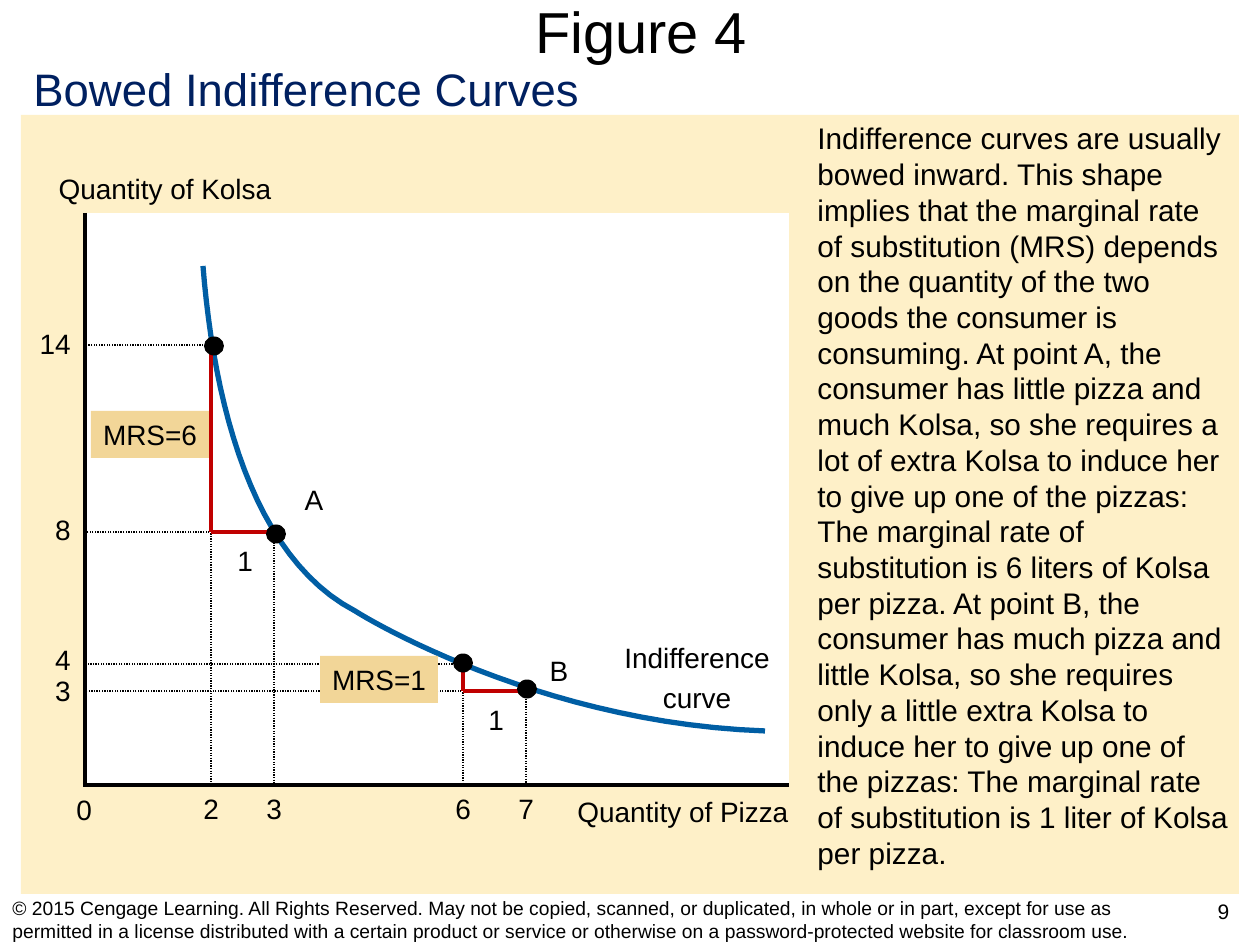
from lxml.etree import SubElement
from pptx import Presentation
from pptx.dml.color import RGBColor
from pptx.enum.dml import MSO_LINE
from pptx.enum.shapes import MSO_CONNECTOR as Connector, MSO_SHAPE as Shape
from pptx.enum.text import MSO_ANCHOR as Anchor, PP_ALIGN as Align
from pptx.oxml.ns import qn
from pptx.util import Pt

PX = 914400 / 126
BLACK, WHITE, NAVY = "000000", "FFFFFF", "002060"
CREAM, TAN, BLUE, RED = "FEF0C8", "F2D698", "005EA4", "C00000"

TITLE = "Figure 4"
SUBTITLE = "Bowed Indifference Curves"
EXPLANATION = (
    "Indifference curves are usually bowed inward. This shape implies that the "
    "marginal rate of substitution (MRS) depends on the quantity of the two goods "
    "the consumer is consuming. At point A, the consumer has little pizza and much "
    "Kolsa, so she requires a lot of extra Kolsa to induce her to give up one of the "
    "pizzas: The marginal rate of substitution is 6 liters of Kolsa per pizza. At "
    "point B, the consumer has much pizza and little Kolsa, so she requires only a "
    "little extra Kolsa to induce her to give up one of the pizzas: The marginal rate "
    "of substitution is 1 liter of Kolsa per pizza."
)
COPYRIGHT = (
    "© 2015 Cengage Learning. All Rights Reserved. May not be copied, scanned, or "
    "duplicated, in whole or in part, except for use as permitted in a license "
    "distributed with a certain product or service or otherwise on a "
    "password-protected website for classroom use."
)

# Plot geometry in px
ORIGIN_X, ORIGIN_Y, PIZZA_STEP = 85, 785, 63
PLOT_TOP, PLOT_RIGHT = 213, 789
DRINK_Y = {14: 345, 8: 532, 4: 664, 3: 691}
DRINK_LABEL_TOP = {14: 320, 8: 506, 4: 636, 3: 667}
# (pizza, drink, centre of the dot)
BUNDLES = [(2, 14, (214, 346)), (3, 8, (276, 534)), (6, 4, (463, 663)), (7, 3, (527, 689))]
DOT_SIZE = (20, 19)
CURVE = [
    [(203, 266), (214, 404), (252, 557), (355, 611)],
    [(355, 611), (392, 634), (558, 724), (765, 731)],
]
CURVE_STEPS = 24
# (left, top, width, height, lines)
LABELS = [
    (43, 165, 244, 47, ["Quantity of Kolsa"]),
    (561, 788, 244, 47, ["Quantity of Pizza"]),
    (64, 786, 40, 47, ["0"]),
    (607, 634, 180, 87, ["Indifference", "curve"]),
    (476, 696, 40, 47, ["1"]),
    (225, 537, 40, 47, ["1"]),
    (537, 647, 44, 47, ["B"]),
    (292, 476, 44, 47, ["A"]),
]
MRS_TAGS = [(320, 656, 118, 47, "MRS=1"), (91, 411, 118, 47, "MRS=6")]


def px(*lengths):
    return [round(length * PX) for length in lengths]


def color(value):
    return RGBColor.from_string(value)


def write(shape, lines, size=16, ink=BLACK, align=Align.CENTER, wrap=False,
          anchor=Anchor.TOP, space=4):
    frame = shape.text_frame
    frame.word_wrap, frame.vertical_anchor = wrap, anchor
    for index, line in enumerate(lines):
        para = frame.paragraphs[0] if index == 0 else frame.add_paragraph()
        para.text, para.alignment = line, align
        if index:
            para.space_before = Pt(space)
        for name, value in dict(name="Arial", size=Pt(size)).items():
            setattr(para.font, name, value)
        para.font.color.rgb = color(ink)


def add_text(left, top, width, height, lines, **style):
    write(slide.shapes.add_textbox(*px(left, top, width, height)), lines, **style)


def add_filled(kind, left, top, width, height, fill):
    shape = slide.shapes.add_shape(kind, *px(left, top, width, height))
    shape.shadow.inherit = False
    shape.fill.solid()
    shape.fill.fore_color.rgb = color(fill)
    shape.line.fill.background()
    return shape


def add_line(start, end, weight=2.25, ink=BLACK, dash=None):
    line = slide.shapes.add_connector(Connector.STRAIGHT, *px(*start, *end))
    line.line.width, line.line.color.rgb = Pt(weight), color(ink)
    if dash:
        line.line.dash_style = dash
    SubElement(line._element.spPr, qn("a:effectLst"))


def bezier(points, t):
    weights = [(1 - t) ** 3, 3 * t * (1 - t) ** 2, 3 * t * t * (1 - t), t ** 3]
    return tuple(sum(w * point[axis] for w, point in zip(weights, points)) for axis in (0, 1))


def add_curve():
    points = [px(*bezier(part, step / CURVE_STEPS))
              for part in CURVE for step in range(1, CURVE_STEPS + 1)]
    builder = slide.shapes.build_freeform(*px(*CURVE[0][0]))
    builder.add_line_segments(points, close=False)
    curve = builder.convert_to_shape()
    curve.shadow.inherit = False
    curve.fill.background()
    curve.line.width, curve.line.color.rgb = Pt(3), color(BLUE)


def pizza_x(quantity):
    return ORIGIN_X + PIZZA_STEP * quantity


deck = Presentation()
deck.slide_width, deck.slide_height = px(1260, 945)
slide = deck.slides.add_slide(deck.slide_layouts[6])

add_filled(Shape.RECTANGLE, 21, 115, 1218, 779, CREAM)
add_text(44, 0, 1194, 61, [TITLE], size=33, anchor=Anchor.MIDDLE)
add_text(1188, 892, 71, 52, ["9"], size=12, wrap=True)
add_text(0, 894, 1187, 50, [COPYRIGHT], size=11, align=Align.LEFT, wrap=True,
         anchor=Anchor.MIDDLE)
add_text(21, 55, 572, 68, [SUBTITLE], size=26, ink=NAVY, align=Align.LEFT)
add_text(805, 114, 436, 764, [EXPLANATION], size=17, align=Align.LEFT, wrap=True)

add_filled(Shape.RECTANGLE, ORIGIN_X, PLOT_TOP, PLOT_RIGHT - ORIGIN_X,
           ORIGIN_Y - PLOT_TOP, WHITE)
add_line((ORIGIN_X, PLOT_TOP), (ORIGIN_X, ORIGIN_Y))
add_line((ORIGIN_X - 2, ORIGIN_Y), (PLOT_RIGHT, ORIGIN_Y))
add_curve()

for pizza, drink, _ in BUNDLES:
    x, y = pizza_x(pizza), DRINK_Y[drink]
    for axis_end in ((x, ORIGIN_Y), (ORIGIN_X, y)):
        add_line((x, y), axis_end, weight=0.75, dash=MSO_LINE.ROUND_DOT)
    add_text(x - 20, 785, 40, 47, [str(pizza)])
    add_text(ORIGIN_X - 72, DRINK_LABEL_TOP[drink], 70, 47, [str(drink)], align=Align.RIGHT)

for (pizza, drink, _), (next_pizza, next_drink, _) in zip(BUNDLES[::2], BUNDLES[1::2]):
    corner = (pizza_x(pizza), DRINK_Y[next_drink])
    add_line(corner, (pizza_x(next_pizza), corner[1]), ink=RED)
    add_line(corner, (corner[0], DRINK_Y[drink]), ink=RED)

for *place, text in MRS_TAGS:
    write(add_filled(Shape.RECTANGLE, *place, TAN), [text])
for label in LABELS:
    add_text(*label)
for _, _, (x, y) in BUNDLES:
    width, height = DOT_SIZE
    add_filled(Shape.OVAL, x - width / 2, y - height / 2, width, height, BLACK)

deck.save("out.pptx")
